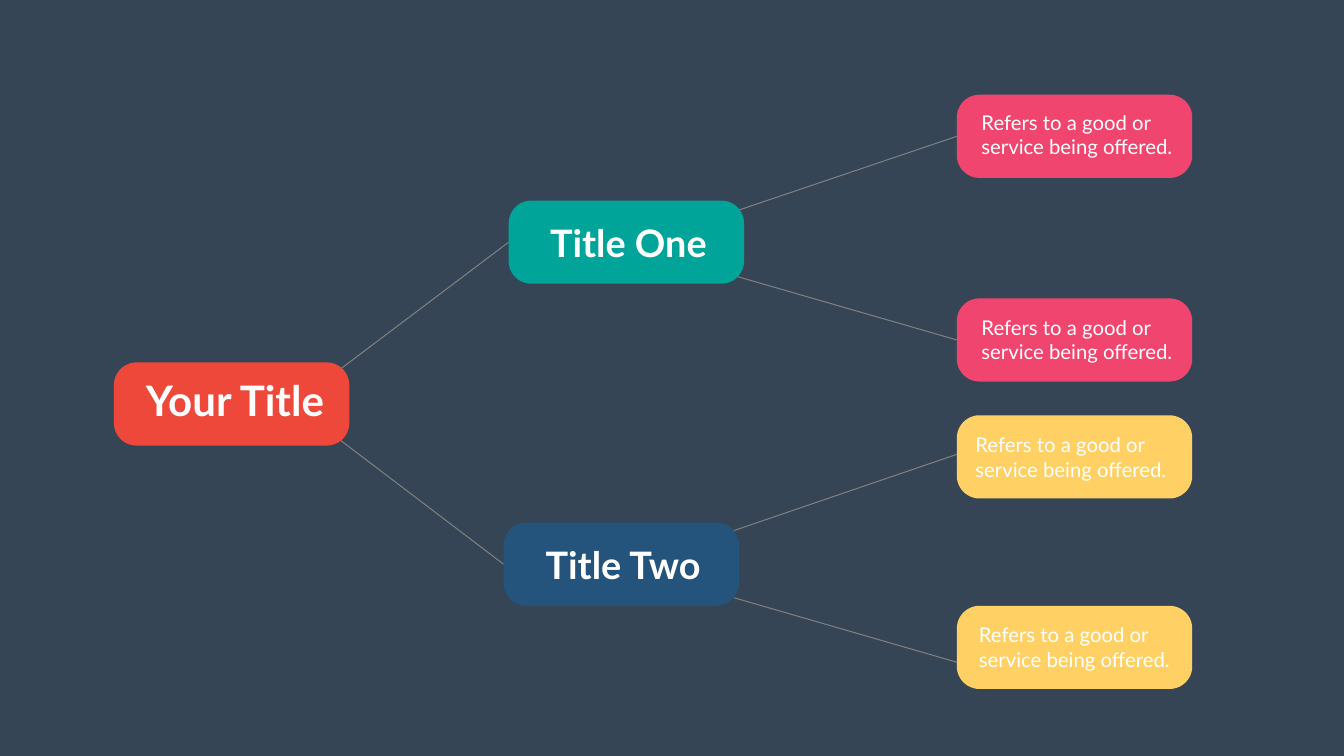
from lxml.etree import SubElement
from pptx import Presentation
from pptx.dml.color import RGBColor
from pptx.enum.shapes import MSO_CONNECTOR, MSO_SHAPE
from pptx.enum.text import MSO_AUTO_SIZE, PP_ALIGN
from pptx.oxml.ns import qn
from pptx.util import Inches, Pt

BACKGROUND = RGBColor(0x36, 0x45, 0x56)
RED = RGBColor(0xED, 0x48, 0x39)
TEAL = RGBColor(0x00, 0xA4, 0x99)
BLUE = RGBColor(0x24, 0x54, 0x7C)
PINK = RGBColor(0xEF, 0x45, 0x6E)
YELLOW = RGBColor(0xFF, 0xD1, 0x65)
GREY = RGBColor(0x80, 0x80, 0x80)
WHITE = RGBColor(0xFF, 0xFF, 0xFF)

DETAIL = "Refers to a good or service being offered."
SLIDE_W, SLIDE_H = 26.66, 15
NODE_W, NODE_H, RADIUS = 4.67, 1.65, 0.45
ROOT_X, TITLE_ONE_X, TITLE_TWO_X, DETAIL_X = 2.26, 10.09, 9.99, 18.98

ROOT_LABEL = dict(size=60, bold=True, align=PP_ALIGN.CENTER, wrap=False)
TITLE_LABEL = dict(ROOT_LABEL, size=54)
DETAIL_LABEL = dict(size=29)

NODES = [
    ("root", ROOT_X, 7.19, RED, "Your Title ", (2.7, 7.39, 4.12, 1.11), ROOT_LABEL),
    ("one", TITLE_ONE_X, 3.98, TEAL, "Title One", (10.79, 4.3, 3.35, 1.01), TITLE_LABEL),
    ("two", TITLE_TWO_X, 10.37, BLUE, "Title Two", (10.66, 10.69, 3.4, 1.01), TITLE_LABEL),
    ("one a", DETAIL_X, 1.88, PINK, DETAIL, (19.37, 2.13, 4.13, 1.08), DETAIL_LABEL),
    ("one b", DETAIL_X, 5.92, PINK, DETAIL, (19.37, 6.2, 4.13, 1.08), DETAIL_LABEL),
    ("two a", DETAIL_X, 8.24, YELLOW, DETAIL, (19.25, 8.53, 4.13, 1.08), DETAIL_LABEL),
    ("two b", DETAIL_X, 12.02, YELLOW, DETAIL, (19.32, 12.3, 4.13, 1.08), DETAIL_LABEL),
]

BRANCHES = [
    ((6.77, 7.31), "one"),
    ((6.68, 8.68), "two"),
    ((14.65, 4.17), "one a"),
    ((14.6, 5.48), "one b"),
    ((14.55, 10.53), (19.17, 8.95)),
    ((14.49, 11.84), (19.12, 13.18)),
]


def add_node(s, x, y, color):
    sp = s.shapes.add_shape(MSO_SHAPE.ROUNDED_RECTANGLE,
                            *map(Inches, (x, y, NODE_W, NODE_H)))
    sp.adjustments[0] = RADIUS / NODE_H
    sp.shadow.inherit = False
    sp.fill.solid()
    sp.fill.fore_color.rgb = color
    sp.line.fill.background()
    return sp


def add_text(s, text, box, size, bold=False, align=PP_ALIGN.LEFT, wrap=True):
    tf = s.shapes.add_textbox(*map(Inches, box)).text_frame
    tf.word_wrap = wrap
    tf.auto_size = MSO_AUTO_SIZE.SHAPE_TO_FIT_TEXT
    p = tf.paragraphs[0]
    p.alignment = align
    r = p.add_run()
    r.text = text
    r.font.name = "Lato"
    r.font.size = Pt(size)
    r.font.bold = bold
    r.font.color.rgb = WHITE


def add_branch(s, start, end, nodes):
    joined = end in nodes
    finish = start if joined else end
    line = s.shapes.add_connector(MSO_CONNECTOR.STRAIGHT,
                                  *map(Inches, (*start, *finish)))
    if joined:
        line.end_connect(nodes[end], 1)
    line.line.color.rgb = GREY
    line.line.width = Pt(1.45)
    SubElement(line._element.spPr, qn("a:effectLst"))
    return line


def main():
    prs = Presentation()
    prs.slide_width, prs.slide_height = Inches(SLIDE_W), Inches(SLIDE_H)
    s = prs.slides.add_slide(prs.slide_layouts[6])
    s.background.fill.solid()
    s.background.fill.fore_color.rgb = BACKGROUND

    nodes = {name: add_node(s, x, y, color) for name, x, y, color, *_ in NODES}
    back = nodes["root"]._element
    for start, end in BRANCHES:
        back.addprevious(add_branch(s, start, end, nodes)._element)
    for *_, text, box, label in NODES:
        add_text(s, text, box, **label)
    prs.save("out.pptx")


if __name__ == "__main__":
    main()
